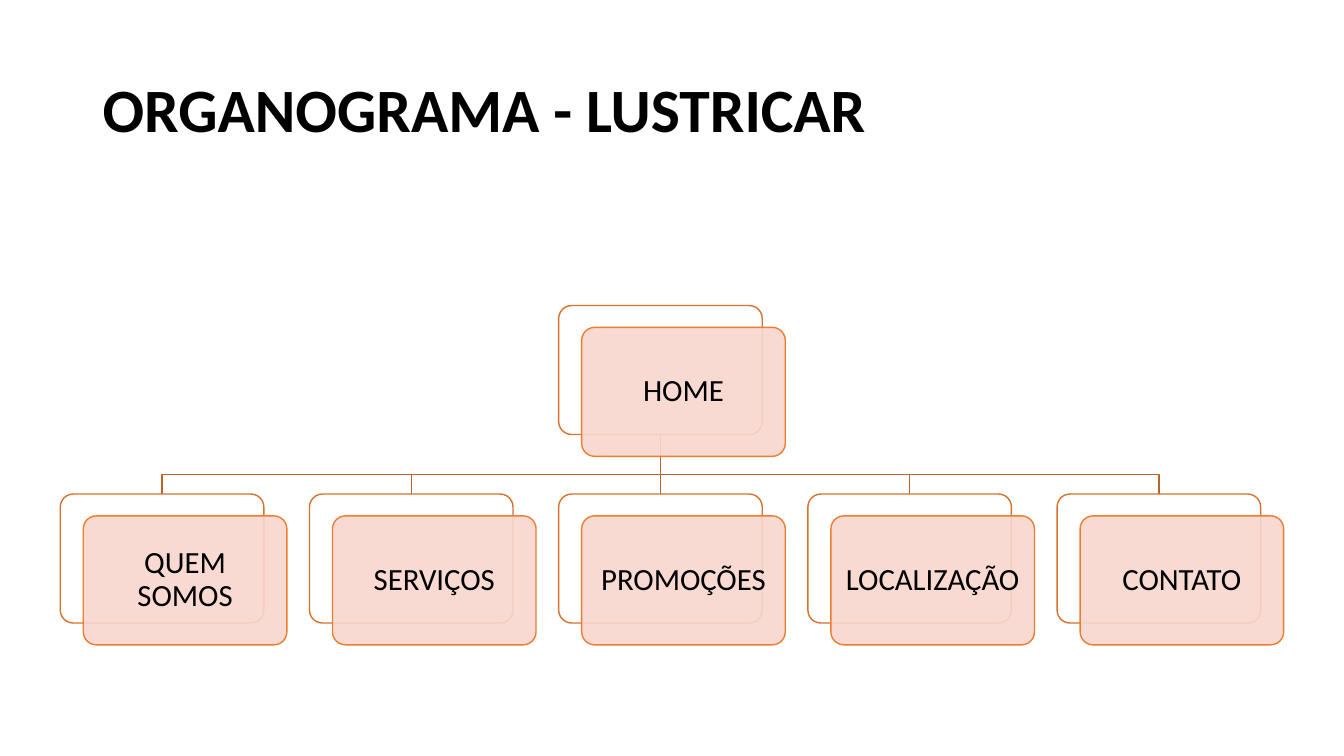
from dataclasses import dataclass

from lxml import etree
from pptx import Presentation
from pptx.dml.color import RGBColor
from pptx.enum.shapes import MSO_CONNECTOR, MSO_SHAPE
from pptx.enum.text import MSO_ANCHOR, PP_ALIGN
from pptx.oxml.ns import qn
from pptx.util import Cm, Pt

STRAIGHT = MSO_CONNECTOR.STRAIGHT
ROUNDED = MSO_SHAPE.ROUNDED_RECTANGLE
MIDDLE, BOTTOM = MSO_ANCHOR.MIDDLE, MSO_ANCHOR.BOTTOM
LEFT, CENTER = PP_ALIGN.LEFT, PP_ALIGN.CENTER


@dataclass
class Theme:
    font: str = "Calibri"
    title_size: Pt = Pt(44)
    card_size: Pt = Pt(22)
    line_width: Pt = Pt(1)
    text: RGBColor = RGBColor(0x00, 0x00, 0x00)
    back_fill: RGBColor = RGBColor(0xFF, 0xFF, 0xFF)
    back_line: RGBColor = RGBColor(0xD7, 0x71, 0x2C)
    card_fill: RGBColor = RGBColor(0xF8, 0xD7, 0xCE)
    card_line: RGBColor = RGBColor(0xED, 0x7D, 0x31)
    branch: RGBColor = RGBColor(0xBE, 0x64, 0x27)


theme = Theme()
CARD_WIDTH, CARD_HEIGHT = Cm(5.13), Cm(3.25)
SHIFT_X, SHIFT_Y = Cm(0.58), Cm(0.55)
ROW_LEFT, ROW_PITCH = Cm(1.52), Cm(6.28)
HOME_TOP, ROW_TOP, BEND_TOP = Cm(7.7), Cm(12.45), Cm(11.96)
SECTIONS = ["QUEM SOMOS", "SERVIÇOS", "PROMOÇÕES", "LOCALIZAÇÃO", "CONTATO"]

presentation = Presentation()
presentation.slide_width, presentation.slide_height = Cm(33.87), Cm(19.05)
slide = presentation.slides.add_slide(presentation.slide_layouts[5])


def write_text(shape, text, size, alignment, anchor, bold=False):
    frame = shape.text_frame
    frame.word_wrap = True
    frame.vertical_anchor = anchor
    paragraph = frame.paragraphs[0]
    paragraph.alignment = alignment
    paragraph.line_spacing = 0.9
    run = paragraph.add_run()
    run.text = text
    run.font.name = theme.font
    run.font.size = size
    run.font.bold = bold
    run.font.color.rgb = theme.text


def add_card(left, top, fill, line):
    card = slide.shapes.add_shape(ROUNDED, left, top, CARD_WIDTH, CARD_HEIGHT)
    card.adjustments[0] = 0.1
    card.shadow.inherit = False
    card.fill.solid()
    card.fill.fore_color.rgb = fill
    card.line.color.rgb = line
    card.line.width = theme.line_width
    return card


title = slide.shapes.title
title.left, title.top, title.width, title.height = Cm(2.33), Cm(1.01), Cm(29.21), Cm(2.8)
write_text(title, "ORGANOGRAMA - LUSTRICAR", theme.title_size, LEFT, BOTTOM, bold=True)

section_lefts = [ROW_LEFT + index * ROW_PITCH for index in range(len(SECTIONS))]
home_left = section_lefts[len(SECTIONS) // 2]
home_center = home_left + CARD_WIDTH // 2
home_bottom = HOME_TOP + CARD_HEIGHT

for section_left in section_lefts:
    section_center = section_left + CARD_WIDTH // 2
    if section_center == home_center:
        branch = slide.shapes.add_connector(STRAIGHT, home_center, home_bottom, home_center, ROW_TOP)
        etree.SubElement(branch.element.spPr, qn("a:effectLst"))
    else:
        builder = slide.shapes.build_freeform(home_center, home_bottom)
        builder.add_line_segments(
            [(home_center, BEND_TOP), (section_center, BEND_TOP), (section_center, ROW_TOP)],
            close=False,
        )
        branch = builder.convert_to_shape()
        branch.shadow.inherit = False
        branch.fill.background()
    branch.line.color.rgb = theme.branch
    branch.line.width = theme.line_width

cards = [("HOME", home_left, HOME_TOP)]
cards += [(name, left, ROW_TOP) for name, left in zip(SECTIONS, section_lefts)]
for name, left, top in cards:
    add_card(left, top, theme.back_fill, theme.back_line)
    card = add_card(left + SHIFT_X, top + SHIFT_Y, theme.card_fill, theme.card_line)
    color = card.element.spPr.find(qn("a:solidFill")).find(qn("a:srgbClr"))
    etree.SubElement(color, qn("a:alpha"), val="90000")
    frame = card.text_frame
    frame.margin_left = frame.margin_right = frame.margin_top = frame.margin_bottom = Cm(0.23)
    write_text(card, name, theme.card_size, CENTER, MIDDLE)

presentation.save("out.pptx")
